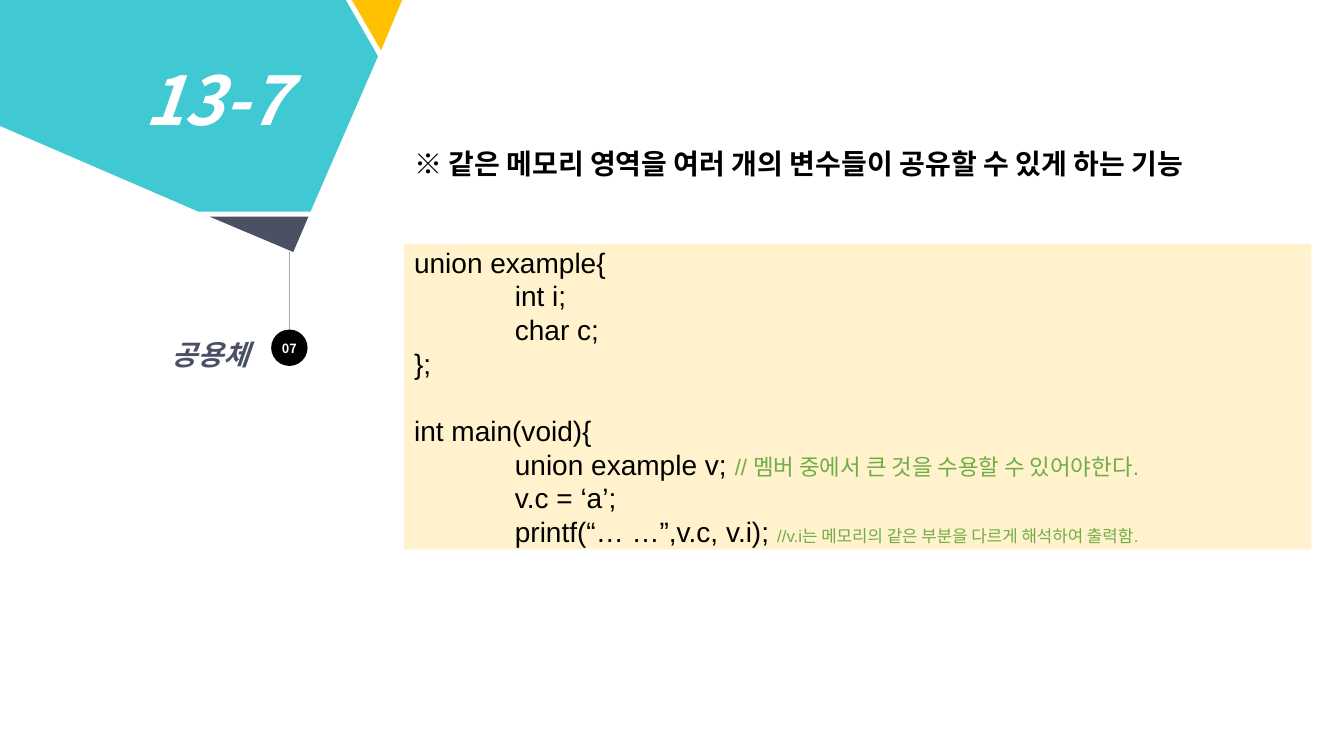
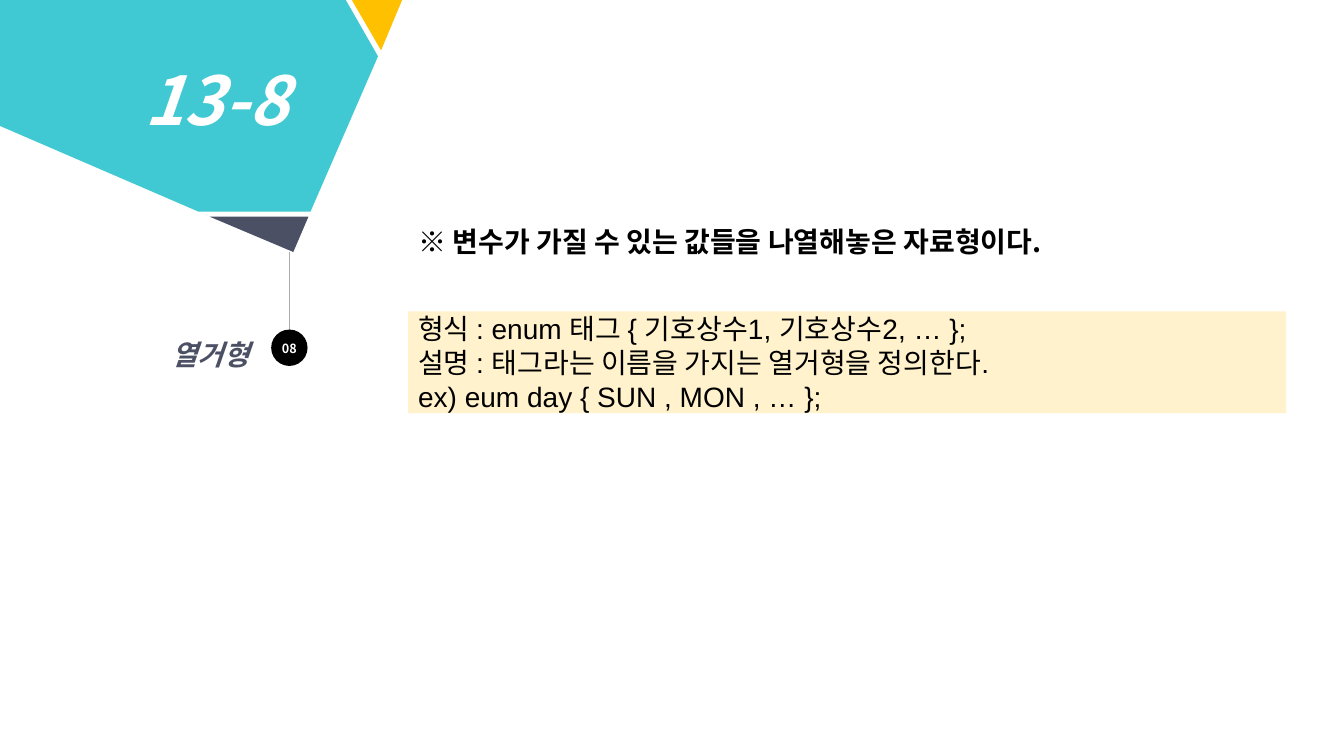
"""Build two lesson slides on unions and enumerations."""
from pptx import Presentation
from pptx.dml.color import RGBColor
from pptx.enum.shapes import MSO_CONNECTOR, MSO_SHAPE
from pptx.enum.text import MSO_ANCHOR, MSO_AUTO_SIZE, PP_ALIGN
from pptx.oxml.ns import qn
from pptx.util import Pt
from lxml.etree import SubElement

TEAL, NAVY, AMBER, CREAM = "41C9D3", "4C5064", "FFC000", "FFF2CC"
GREEN, GRAY, BLACK, WHITE = "70AD47", "AFABAB", "000000", "FFFFFF"
SANS, CODE = "Noto Sans CJK KR", "Arial"

TITLE = {"size": Pt(48), "name": SANS, "bold": True, "italic": True}
LABEL = {"size": Pt(20), "name": SANS, "bold": True, "italic": True}
HEADING = {"size": Pt(20), "name": SANS, "bold": True}
NUMBER = {"size": Pt(9), "name": SANS, "bold": True}
BODY = {"size": Pt(20), "name": CODE}

BANNER = [
    (AMBER, [(251.3, 0), (288.7, 0), (287.3, 0), (272.2, 36)]),
    (TEAL, [(0, 0), (247, 0), (270, 40.3), (221.8, 151.2), (141.8, 151.2), (0, 90)]),
    (NAVY, [(149.8, 154.8), (220.3, 154.8), (209.5, 180)]),
]

LESSONS = [
    {
        "title": "13-7", "number": "07", "label": "공용체",
        "heading": "※ 같은 메모리 영역을 여러 개의 변수들이 공유할 수 있게 하는 기능",
        "heading_at": (288.7, 99.4, 639.4, 31.7),
        "code_at": (288.7, 174.2, 648, 218.2),
        "code": [
            {"text": "union example{"},
            {"text": "int i;", "indent": 72},
            {"text": "char c;", "indent": 72},
            {"text": "};"},
            {"text": "int main(void){", "before": 24},
            {"text": "union example v; ", "indent": 72, "note_size": 16,
             "note": "// 멤버 중에서 큰 것을 수용할 수 있어야한다."},
            {"text": "v.c = ‘a’;", "indent": 72},
            {"text": "printf(“… …”,v.c, v.i); ", "indent": 72, "note_size": 12,
             "note": "//v.i는 메모리의 같은 부분을 다르게 해석하여 출력함."},
        ],
    },
    {
        "title": "13-8", "number": "08", "label": "열거형",
        "heading": "※ 변수가 가질 수 있는 값들을 나열해놓은 자료형이다.",
        "heading_at": (291.6, 154.8, 639.4, 31.7),
        "code_at": (291.6, 222.5, 627.1, 72.7),
        "code": [
            {"text": "형식 : enum 태그 { 기호상수1, 기호상수2, … };"},
            {"text": "설명 : 태그라는 이름을 가지는 열거형을 정의한다."},
            {"text": "ex) eum day { SUN , MON , … };"},
        ],
    },
]


def color(value):
    return RGBColor.from_string(value)


def write(paragraph, text, style, ink, align=PP_ALIGN.LEFT, spacing=1.3):
    run = paragraph.add_run()
    run.text = text
    for key, value in style.items():
        setattr(run.font, key, value)
    run.font.color.rgb = color(ink)
    SubElement(run.font._element, qn("a:ea")).set("typeface", SANS)
    paragraph.alignment = align
    paragraph.line_spacing = Pt(round(style["size"].pt * spacing))


presentation = Presentation()
presentation.slide_width, presentation.slide_height = Pt(960), Pt(540)

for lesson in LESSONS:
    slide = presentation.slides.add_slide(presentation.slide_layouts[5])
    shapes = slide.shapes

    stem = shapes.add_connector(MSO_CONNECTOR.STRAIGHT, Pt(206.6), Pt(180), Pt(206.6), Pt(261.4))
    stem.line.color.rgb = color(GRAY)
    stem.line.width = Pt(0.5)
    SubElement(stem._element.spPr, qn("a:effectLst"))

    banner = shapes.add_group_shape()
    for fill, points in BANNER:
        corners = [(Pt(x), Pt(y)) for x, y in points]
        builder = banner.shapes.build_freeform(*corners[0])
        builder.add_line_segments(corners[1:], close=True)
        facet = builder.convert_to_shape()
        facet.shadow.inherit = False
        facet.fill.solid()
        facet.fill.fore_color.rgb = color(fill)
        facet.line.fill.background()

    badge = shapes.add_shape(MSO_SHAPE.OVAL, Pt(193.7), Pt(235.4), Pt(26), Pt(26))
    code = shapes.add_shape(MSO_SHAPE.RECTANGLE, *map(Pt, lesson["code_at"]))
    for shape, fill, inset in [(badge, BLACK, 0), (code, CREAM, 7.2)]:
        shape.shadow.inherit = False
        shape.fill.solid()
        shape.fill.fore_color.rgb = color(fill)
        shape.line.fill.background()
        frame_format = {
            "margin_left": Pt(inset), "margin_right": Pt(inset), "margin_top": 0,
            "margin_bottom": 0, "vertical_anchor": MSO_ANCHOR.MIDDLE, "word_wrap": True,
        }
        for key, value in frame_format.items():
            setattr(shape.text_frame, key, value)
    write(badge.text_frame.paragraphs[0], lesson["number"], NUMBER, WHITE, PP_ALIGN.CENTER)

    for index, line in enumerate(lesson["code"]):
        frame = code.text_frame
        paragraph = frame.add_paragraph() if index else frame.paragraphs[0]
        write(paragraph, line["text"], BODY, BLACK, spacing=1.2)
        if "note" in line:
            write(paragraph, line["note"], BODY | {"size": Pt(line["note_size"])}, GREEN)
            paragraph.line_spacing = Pt(24)
        paragraph.space_before = Pt(line.get("before", 0))
        paragraph._p.get_or_add_pPr().set("marL", str(Pt(line.get("indent", 0))))

    label = shapes.add_textbox(Pt(11.5), Pt(235.4), Pt(173.5), Pt(31.7))
    heading = shapes.add_textbox(*map(Pt, lesson["heading_at"]))
    title = shapes.title
    title.left, title.top, title.width, title.height = Pt(95.8), Pt(33.8), Pt(118.8), Pt(65.5)
    title.element.getparent().append(title.element)
    for shape, text, style, ink, align in [
        (label, lesson["label"], LABEL, NAVY, PP_ALIGN.RIGHT),
        (heading, lesson["heading"], HEADING, BLACK, PP_ALIGN.LEFT),
        (title, lesson["title"], TITLE, WHITE, PP_ALIGN.LEFT),
    ]:
        frame = shape.text_frame
        frame.word_wrap = shape is not title
        frame.auto_size = MSO_AUTO_SIZE.NONE
        frame.vertical_anchor = MSO_ANCHOR.TOP
        write(frame.paragraphs[0], text, style, ink, align)

presentation.save("out.pptx")
